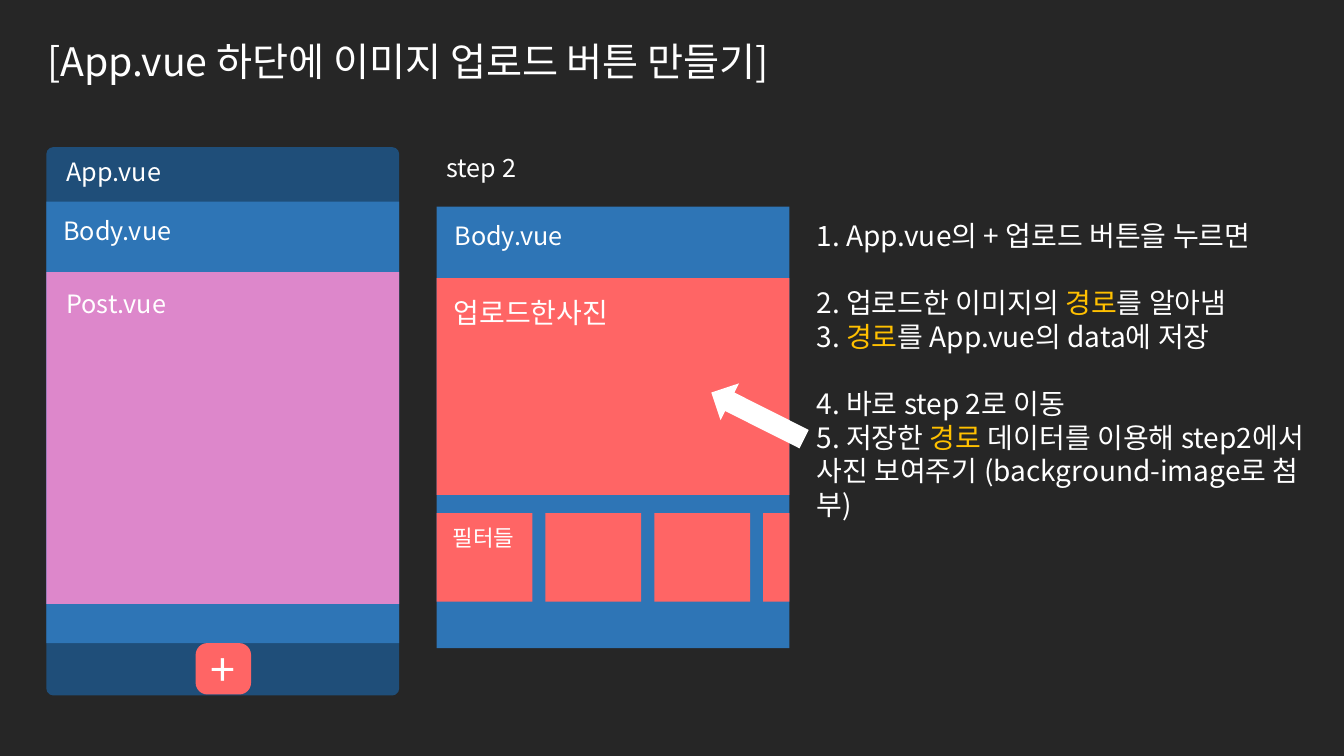
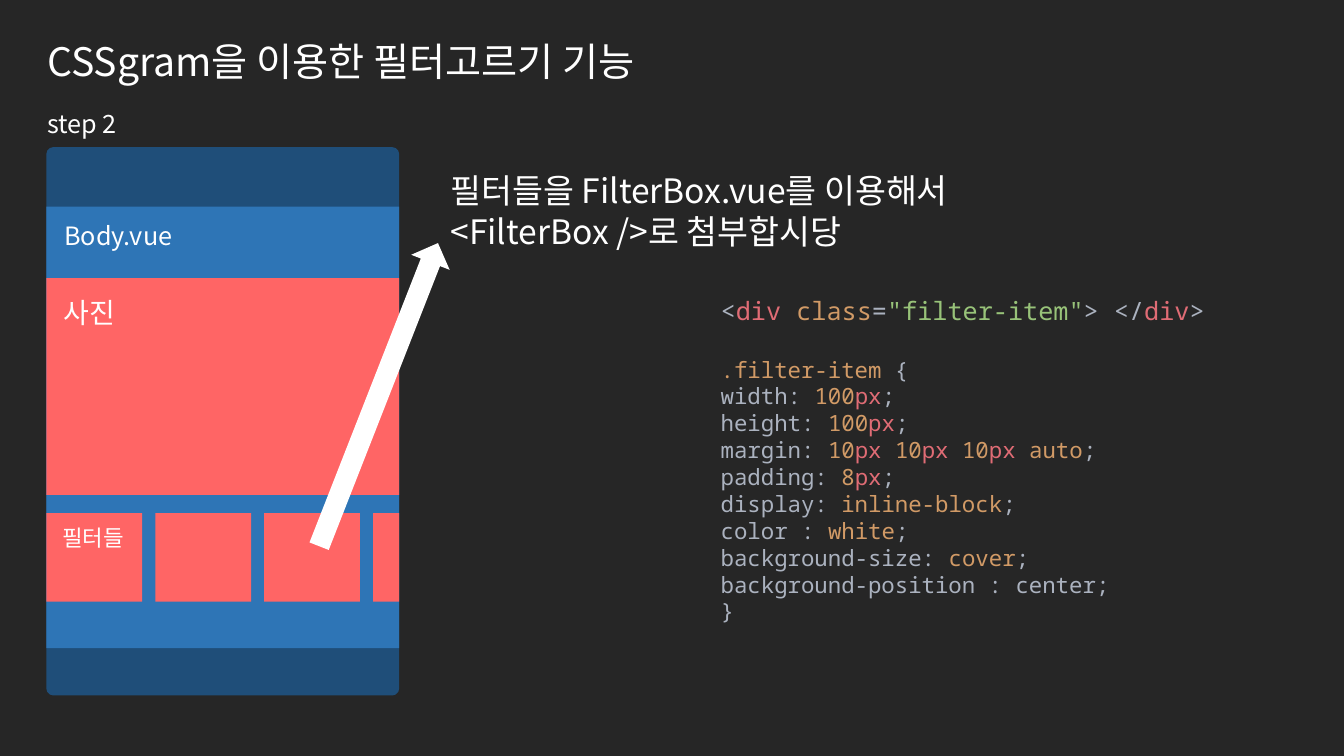
import pptx
import pptx.dml.color
import pptx.enum.shapes
import pptx.enum.text
import pptx.oxml
import pptx.oxml.ns
import pptx.util
from dataclasses import dataclass

PX = 9144  # EMU: 100 px to the inch
SHAPES = pptx.enum.shapes.MSO_SHAPE


@dataclass(frozen=True)
class Theme:
    sans: str = "Noto Sans CJK KR"
    mono: str = "Noto Sans Mono"
    page: str = "262626"
    text: str = "FFFFFF"
    frame: str = "1F4E79"
    body: str = "2E75B6"
    post: str = "DD87CB"
    photo: str = "FF6565"
    accent: str = "FFC000"
    code: str = "ABB2BF"
    value: str = "D19A66"
    tag: str = "E06C75"
    string: str = "98C379"
    title_size: int = 28
    plus_size: int = 32
    lead_size: int = 24
    step_size: int = 20
    label_size: int = 18
    small_size: int = 16
    group_gap: int = 24


THEME = Theme()

# A paragraph is a list of runs: plain text, or (text, colour).
UPLOAD_TITLE = "[App.vue 하단에 이미지 업로드 버튼 만들기]"
UPLOAD_STEPS = [
    [["1. App.vue의 + 업로드 버튼을 누르면"]],
    [["2. 업로드한 이미지의 ", ("경로", THEME.accent), "를 알아냄"],
     ["3. ", ("경로", THEME.accent), "를 App.vue의 data에 저장"]],
    [["4. 바로 step 2로 이동"],
     ["5. 저장한 ", ("경로 ", THEME.accent),
      "데이터를 이용해 step2에서 사진 보여주기 (background-image로 첨부)"]],
]

FILTER_TITLE = "CSSgram을 이용한 필터고르기 기능"
FILTER_LEAD = [[["필터들을 FilterBox.vue를 이용해서"], ["<FilterBox />로 첨부합시당"]]]
FILTER_MARKUP = [[[
    "<", ("div ", THEME.tag), ("class", THEME.value), "=",
    ('"filter-item"', THEME.string), "> </", ("div", THEME.tag), ">",
]]]
PIXELS = ("px", THEME.tag)
PIXELS_NEXT = ("px ", THEME.tag)
TEN = ("10", THEME.value)
HUNDRED = ("100", THEME.value)
FILTER_CSS = [[
    [(".filter-item", THEME.value), " {"],
    ["width: ", HUNDRED, PIXELS, ";"],
    ["height: ", HUNDRED, PIXELS, ";"],
    ["margin: ", *[TEN, PIXELS_NEXT] * 3, ("auto", THEME.value), ";"],
    ["padding: ", ("8", THEME.value), PIXELS, ";"],
    ["display: ", ("inline-block", THEME.value), ";"],
    ["color : ", ("white", THEME.value), ";"],
    ["background-size: ", ("cover", THEME.value), ";"],
    ["background-position : center;"],
    ["}"],
]]

LEFT, PANEL_WIDTH = 46, 350
STEP_PANEL_LEFT = 433
FILTER_WIDTH, FILTER_PITCH, FILTER_COUNT = 95, 108, 4


def rgb(colour):
    return pptx.dml.color.RGBColor.from_string(colour)


def emu(*lengths):
    return [pptx.util.Emu(length * PX) for length in lengths]


def style(paragraph, size, font=THEME.sans, colour=THEME.text):
    paragraph.font.size = pptx.util.Pt(size)
    paragraph.font.color.rgb = rgb(colour)
    paragraph.font.name = font
    defaults = paragraph._p.pPr.find(pptx.oxml.ns.qn("a:defRPr"))
    east_asian = pptx.oxml.parse_xml(
        f'<a:ea {pptx.oxml.ns.nsdecls("a")} typeface="{font}"/>')
    defaults.append(east_asian)


def add_text(slide, box, groups, size, font=THEME.sans, colour=THEME.text,
             line_spacing=None):
    """Write groups of paragraphs, with a gap above each group but the first."""
    frame = slide.shapes.add_textbox(*emu(*box)).text_frame
    frame.word_wrap = True
    paragraph = frame.paragraphs[0]
    for g, group in enumerate(groups):
        for p, runs in enumerate(group):
            if g or p:
                paragraph = frame.add_paragraph()
            if g and not p:
                paragraph.space_before = pptx.util.Pt(THEME.group_gap)
            if line_spacing:
                paragraph.line_spacing = line_spacing
            style(paragraph, size, font, colour)
            for part in runs:
                words, tint = (part, None) if isinstance(part, str) else part
                run = paragraph.add_run()
                run.text = words
                if tint:
                    run.font.color.rgb = rgb(tint)


def add_label(slide, left, top, words, size=THEME.label_size):
    add_text(slide, (left, top, 300, 40), [[[words]]], size)


def add_block(slide, box, colour, kind=SHAPES.RECTANGLE, corner=None, rotation=0):
    block = slide.shapes.add_shape(kind, *emu(*box))
    block.shadow.inherit = False
    block.fill.solid()
    block.fill.fore_color.rgb = rgb(colour)
    block.line.fill.background()
    block.rotation = rotation
    if corner is not None:
        block.adjustments[0] = corner
    return block


def add_app_frame(slide):
    add_block(slide, (LEFT, 146, PANEL_WIDTH, 544), THEME.frame,
              SHAPES.ROUNDED_RECTANGLE, 0.02)


def add_arrow(slide, box, rotation):
    add_block(slide, box, THEME.text, SHAPES.RIGHT_ARROW, rotation=rotation)


def add_filter_panel(slide, left, photo_label):
    """Draw step 2: the body, its photo and a row of filters cut at the edge."""
    add_block(slide, (left, 205, PANEL_WIDTH, 438), THEME.body)
    add_label(slide, left + 8, 214, "Body.vue")
    add_block(slide, (left, 276, PANEL_WIDTH, 215), THEME.photo)
    add_label(slide, left + 7, 288, photo_label, THEME.step_size)
    for offset in range(0, FILTER_COUNT * FILTER_PITCH, FILTER_PITCH):
        width = min(FILTER_WIDTH, PANEL_WIDTH - offset)
        add_block(slide, (left + offset, 509, width, 88), THEME.photo)
    add_label(slide, left + 6, 515, "필터들", THEME.small_size)


def add_titled_slide(deck, title):
    slide = deck.slides.add_slide(deck.slide_layouts[6])
    add_text(slide, (37, 27, 870, 62), [[[title]]], THEME.title_size,
             line_spacing=1.1)
    return slide


def build_upload_slide(deck):
    slide = add_titled_slide(deck, UPLOAD_TITLE)
    add_app_frame(slide)
    add_label(slide, 56, 150, "App.vue")
    add_block(slide, (LEFT, 200, PANEL_WIDTH, 438), THEME.body)
    add_label(slide, 53, 209, "Body.vue")
    add_block(slide, (LEFT, 270, PANEL_WIDTH, 329), THEME.post)
    add_label(slide, 56, 281, "Post.vue")

    add_label(slide, STEP_PANEL_LEFT, 146, "step 2")
    add_filter_panel(slide, STEP_PANEL_LEFT, "업로드한사진")
    add_text(slide, (800, 212, 525, 279), UPLOAD_STEPS, THEME.step_size)
    add_arrow(slide, (700, 392, 103, 41), 206.7)

    plus = add_block(slide, (194, 638, 55, 51), THEME.photo,
                     SHAPES.ROUNDED_RECTANGLE, 0.23).text_frame
    plus.margin_left = plus.margin_right = plus.margin_top = plus.margin_bottom = 0
    plus.vertical_anchor = pptx.enum.text.MSO_ANCHOR.MIDDLE
    plus.text = "+"
    plus.paragraphs[0].alignment = pptx.enum.text.PP_ALIGN.CENTER
    style(plus.paragraphs[0], THEME.plus_size)


def build_filter_slide(deck):
    slide = add_titled_slide(deck, FILTER_TITLE)
    add_label(slide, 37, 103, "step 2")
    add_app_frame(slide)
    add_filter_panel(slide, LEFT, "사진")
    add_text(slide, (437, 164, 834, 91), FILTER_LEAD, THEME.lead_size)
    add_arrow(slide, (214, 371, 323, 41), 291.4)
    add_text(slide, (705, 288, 532, 40), FILTER_MARKUP, THEME.label_size,
             THEME.mono, THEME.code)
    add_text(slide, (705, 348, 437, 279), FILTER_CSS, THEME.small_size,
             THEME.mono, THEME.code)


def main():
    deck = pptx.Presentation()
    deck.slide_width, deck.slide_height = emu(1333, 750)
    page = deck.slide_master.background.fill
    page.solid()
    page.fore_color.rgb = rgb(THEME.page)
    build_upload_slide(deck)
    build_filter_slide(deck)
    deck.save("out.pptx")


if __name__ == "__main__":
    main()
